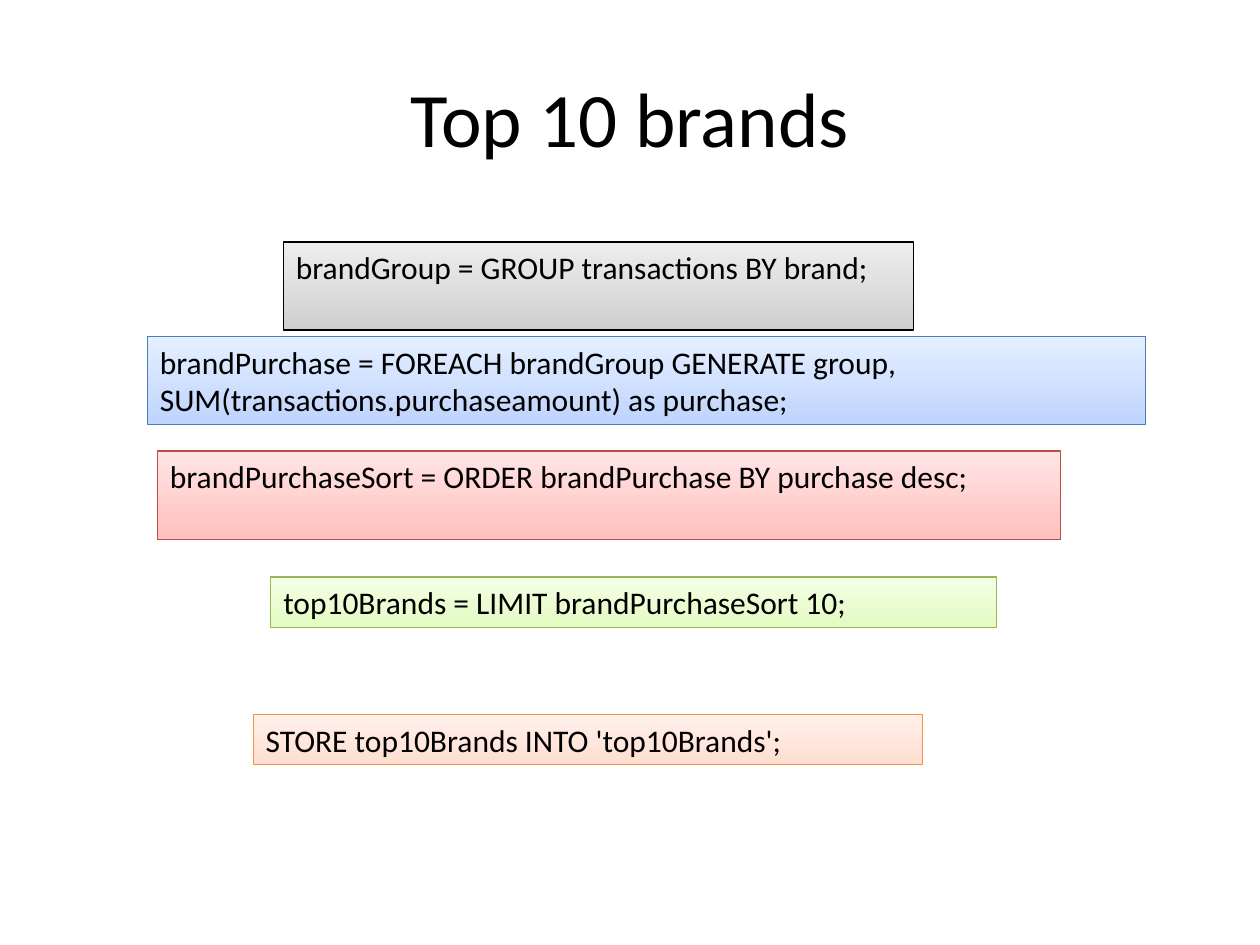
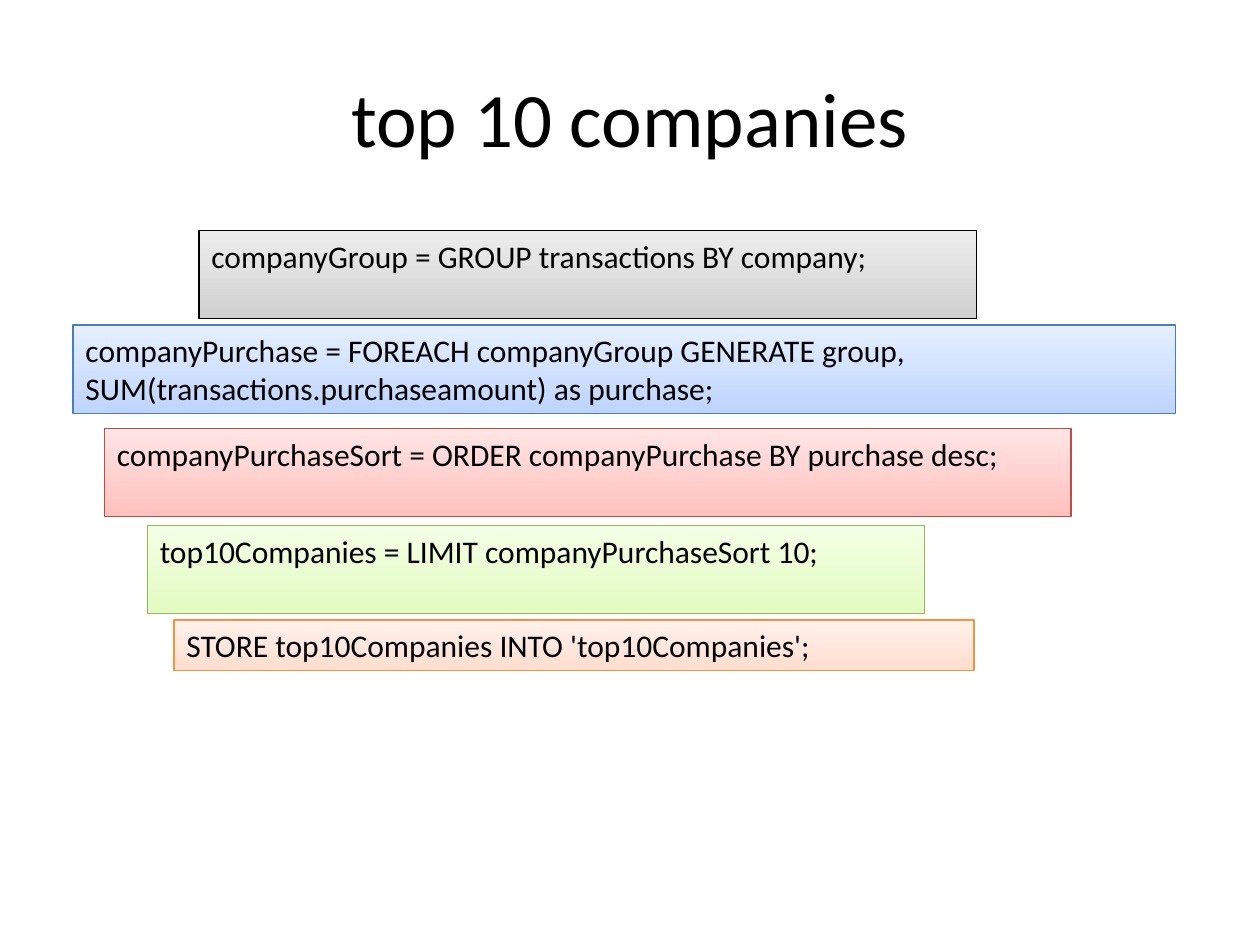
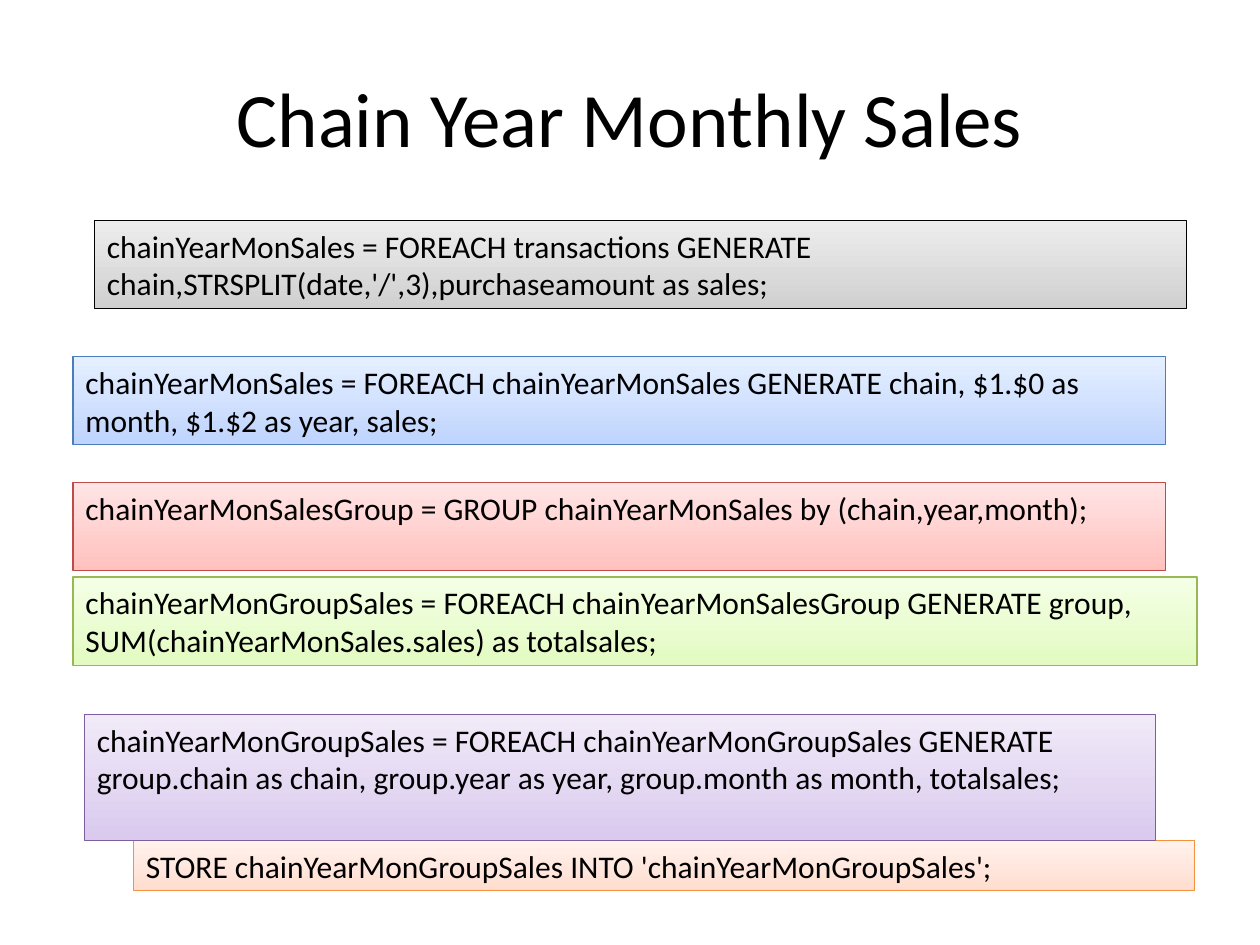
"""Build three slides of data-flow statements shown as stacked, tinted boxes."""

from pptx import Presentation
from pptx.dml.color import RGBColor
from pptx.enum.shapes import MSO_SHAPE
from pptx.enum.text import MSO_ANCHOR, PP_ALIGN
from pptx.util import Inches, Pt

RECTANGLE = MSO_SHAPE.RECTANGLE
TOP, MIDDLE = MSO_ANCHOR.TOP, MSO_ANCHOR.MIDDLE
LEFT, CENTER = PP_ALIGN.LEFT, PP_ALIGN.CENTER

THEME = {
    "font": "Calibri",
    "text": "000000",
    "background": "FFFFFF",
    "title_size": 44,
    "statement_size": 18,
    "line_width": 0.75,
    "gradient_angle": 90,
    "tones": {
        "gray": ("D0D0D0", "EDEDED", "000000"),
        "blue": ("BFD4FE", "E5EFFF", "4A7EBB"),
        "red": ("FFC1BE", "FFE5E5", "BE4B48"),
        "green": ("E3FBC2", "F4FFE6", "98B855"),
        "purple": ("D9CAEE", "F1EAF8", "7D5FA0"),
        "orange": ("FFDED0", "FFF1EC", "F59240"),
    },
}

SLIDE_SIZE = (10, 7.5)
TITLE_BOX = (0.5, 0.3, 9, 1.25)
LINE_HEIGHT = 0.3
BOX_PADDING = 0.1

# Each statement: tone, left, top, width, height in lines, text.
SLIDES = [
    ("Top 10 brands", [
        ("gray", 2.25, 1.92, 5, 2, "brandGroup = GROUP transactions BY brand;"),
        ("blue", 1.17, 2.67, 7.92, 2,
         "brandPurchase = FOREACH brandGroup GENERATE group, "
         "SUM(transactions.purchaseamount) as purchase;"),
        ("red", 1.25, 3.58, 7.17, 2,
         "brandPurchaseSort = ORDER brandPurchase BY purchase desc;"),
        ("green", 2.15, 4.58, 5.76, 1, "top10Brands = LIMIT brandPurchaseSort 10;"),
        ("orange", 2.01, 5.67, 5.31, 1, "STORE top10Brands INTO 'top10Brands';"),
    ]),
    ("top 10 companies", [
        ("gray", 1.58, 1.83, 6.17, 2, "companyGroup = GROUP transactions BY company;"),
        ("blue", 0.58, 2.58, 8.75, 2,
         "companyPurchase = FOREACH companyGroup GENERATE group, "
         "SUM(transactions.purchaseamount) as purchase;"),
        ("red", 0.83, 3.4, 7.67, 2,
         "companyPurchaseSort = ORDER companyPurchase BY purchase desc;"),
        ("green", 1.17, 4.17, 6.17, 2, "top10Companies = LIMIT companyPurchaseSort 10;"),
        ("orange", 1.38, 4.92, 6.35, 1, "STORE top10Companies INTO 'top10Companies';"),
    ]),
    ("Chain Year Monthly Sales", [
        ("orange", 1.06, 6.67, 8.42, 1,
         "STORE chainYearMonGroupSales INTO 'chainYearMonGroupSales';"),
        ("gray", 0.75, 1.75, 8.67, 2,
         "chainYearMonSales = FOREACH transactions GENERATE "
         "chain,STRSPLIT(date,'/',3),purchaseamount as sales;"),
        ("blue", 0.58, 2.83, 8.67, 2,
         "chainYearMonSales = FOREACH chainYearMonSales GENERATE chain, "
         "$1.$0 as month, $1.$2 as year, sales;"),
        ("red", 0.58, 3.83, 8.67, 2,
         "chainYearMonSalesGroup = GROUP chainYearMonSales by (chain,year,month);"),
        ("green", 0.58, 4.58, 8.92, 2,
         "chainYearMonGroupSales = FOREACH chainYearMonSalesGroup GENERATE group, "
         "SUM(chainYearMonSales.sales) as totalsales;"),
        ("purple", 0.67, 5.67, 8.5, 3,
         "chainYearMonGroupSales = FOREACH chainYearMonGroupSales GENERATE "
         "group.chain as chain, group.year as year, group.month as month, totalsales;"),
    ]),
]


def set_attributes(target, values):
    for name, value in values.items():
        setattr(target, name, value)


def write_text(shape, text, size, alignment, anchor):
    frame = shape.text_frame
    set_attributes(frame, {
        "word_wrap": True,
        "vertical_anchor": anchor,
        "margin_left": Inches(0.1),
        "margin_right": Inches(0.1),
        "margin_top": Inches(0.05),
        "margin_bottom": Inches(0.05),
    })
    paragraph = frame.paragraphs[0]
    paragraph.alignment = alignment
    run = paragraph.add_run()
    run.text = text
    set_attributes(run.font, {"name": THEME["font"], "size": Pt(size)})
    run.font.color.rgb = RGBColor.from_string(THEME["text"])


def add_title(slide, text):
    title = slide.shapes.add_textbox(*map(Inches, TITLE_BOX))
    write_text(title, text, THEME["title_size"], CENTER, MIDDLE)


def add_statement(slide, tone, left, top, width, lines, text):
    height = lines * LINE_HEIGHT + BOX_PADDING
    bounds = map(Inches, (left, top, width, height))
    shape = slide.shapes.add_shape(RECTANGLE, *bounds)
    shape.shadow.inherit = False
    *gradient, outline = THEME["tones"][tone]
    shape.fill.gradient()
    shape.fill.gradient_angle = THEME["gradient_angle"]
    for stop, color in zip(shape.fill.gradient_stops, gradient):
        stop.color.rgb = RGBColor.from_string(color)
    shape.line.color.rgb = RGBColor.from_string(outline)
    shape.line.width = Pt(THEME["line_width"])
    write_text(shape, text, THEME["statement_size"], LEFT, TOP)


def main():
    presentation = Presentation()
    presentation.slide_width, presentation.slide_height = map(Inches, SLIDE_SIZE)
    blank_layout = presentation.slide_layouts[6]
    for title, statements in SLIDES:
        slide = presentation.slides.add_slide(blank_layout)
        background = slide.background.fill
        background.solid()
        background.fore_color.rgb = RGBColor.from_string(THEME["background"])
        add_title(slide, title)
        for statement in statements:
            add_statement(slide, *statement)
    presentation.save("out.pptx")


if __name__ == "__main__":
    main()
